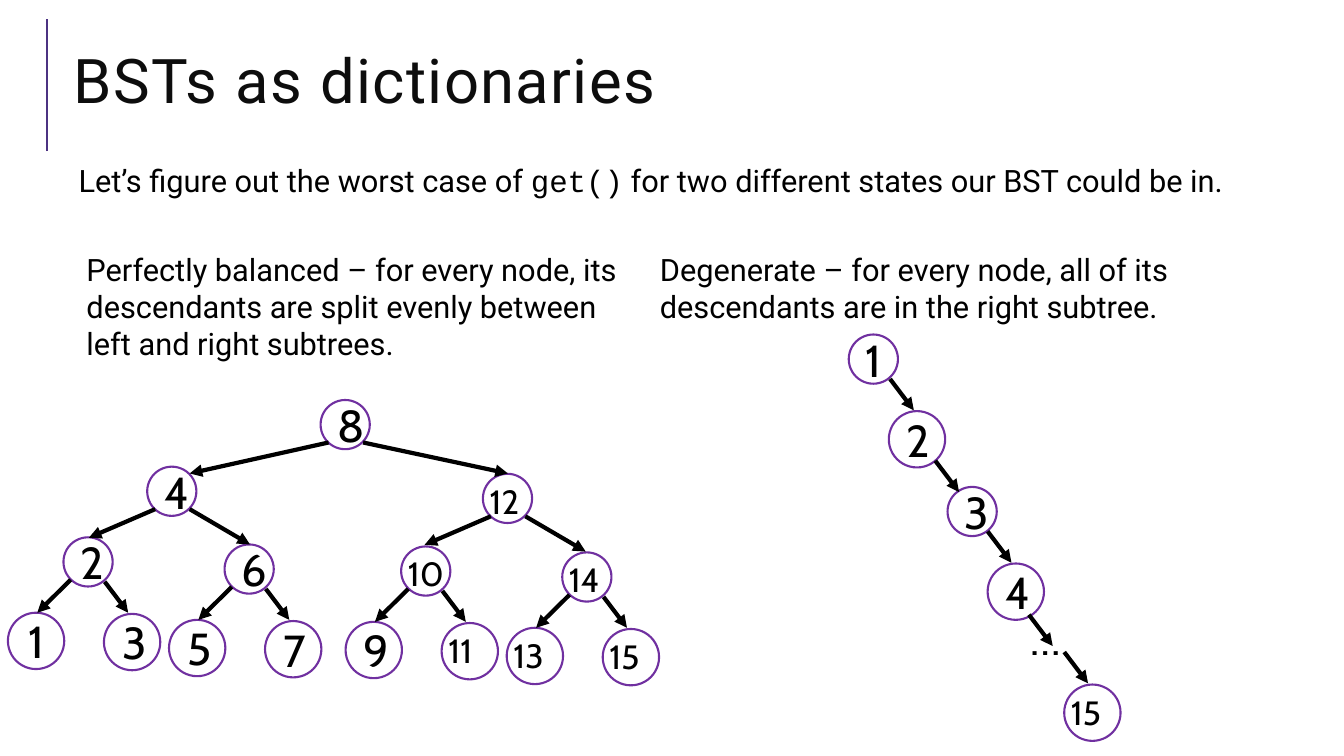
"""Build the slide comparing a balanced and a degenerate binary search tree."""
from dataclasses import dataclass

from lxml import etree
from pptx import Presentation
from pptx.dml.color import RGBColor
from pptx.enum.shapes import MSO_CONNECTOR, MSO_SHAPE
from pptx.enum.text import MSO_ANCHOR, MSO_AUTO_SIZE, PP_ALIGN
from pptx.oxml.ns import qn
from pptx.slide import Slide
from pptx.text.text import TextFrame, _Run
from pptx.util import Cm, Pt

STRAIGHT = MSO_CONNECTOR.STRAIGHT
ELLIPSE = MSO_SHAPE.OVAL
MIDDLE = MSO_ANCHOR.MIDDLE
TOP = MSO_ANCHOR.TOP
CENTER = PP_ALIGN.CENTER
LEFT = PP_ALIGN.LEFT
NO_FIT = MSO_AUTO_SIZE.NONE

COLORS = {
    "paper": "FFFFFF",
    "ink": "000000",
    "title": "0D0D0D",
    "rule": "4C3282",
    "node": "7030A0",
    "bullet": "1CADE4",
}
SMALL, LARGE = 1.24, 1.42


@dataclass(frozen=True)
class Node:
    """A circled key, placed by its top left corner in centimetres."""
    key: str
    left: float
    top: float
    size: float = SMALL


@dataclass(frozen=True)
class Edge:
    """A line between two points in centimetres."""
    x1: float
    y1: float
    x2: float
    y2: float

    def moved(self, node: Node) -> "Edge":
        """Return the edge shifted by the corner of a node."""
        return Edge(self.x1 + node.left, self.y1 + node.top,
                    self.x2 + node.left, self.y2 + node.top)


@dataclass(frozen=True)
class Label:
    """A plain text box in centimetres."""
    text: str
    left: float
    top: float
    width: float
    height: float
    font: str
    size: float


ROOT = Node("8", 8.08, 10.08)
INNER = [Node("4", 3.71, 11.76), Node("12", 12.17, 11.94)]
LEAF_PARENTS = [
    (Node("2", 1.6, 13.54), "1", "3"),
    (Node("6", 5.66, 13.72), "5", "7"),
    (Node("10", 10.11, 13.77), "9", "11"),
    (Node("14", 14.17, 13.92), "13", "15"),
]
ROOT_EDGES = [Edge(0.2, 1.07, -3.3, 1.85), Edge(1.07, 1.07, 4.72, 1.85)]
INNER_EDGES = [Edge(0.2, 1.07, -1.47, 1.79), Edge(1.07, 1.07, 2.59, 1.96)]
LEAF_EDGES = [Edge(0.18, 1.07, -0.66, 1.9), Edge(1.04, 1.12, 1.63, 1.9)]
CHAIN = [
    Node("1", 21.39, 8.43),
    Node("2", 22.4, 10.36, LARGE),
    Node("3", 23.88, 12.27),
    Node("4", 24.89, 14.2, LARGE),
    Node("15", 26.82, 17.25, LARGE),
]
CHAIN_STARTS = [(22.43, 9.55), (23.57, 11.61), (24.89, 13.39), (25.93, 15.49), (26.82, 16.43)]
LABELS = [
    Label("Perfectly balanced – for every node, its descendants are split evenly "
          "between left and right subtrees.", 1.93, 6.2, 13.89, 3.07, "Roboto", 22),
    Label("Degenerate – for every node, all of its descendants are in the right subtree.",
          16.38, 6.2, 15.95, 2.13, "Roboto", 22),
    Label("…", 25.73, 15.27, 3.33, 1.63, "Cabin", 32),
]


def color(name: str) -> RGBColor:
    """Look up a named colour."""
    return RGBColor.from_string(COLORS[name])


def format_run(span: _Run, font: str, size: float, tint: str = "ink") -> None:
    """Set the font, size and colour of a run."""
    span.font.name = font
    span.font.size = Pt(size)
    span.font.color.rgb = color(tint)


def prepare_frame(frame: TextFrame, anchor: MSO_ANCHOR) -> None:
    """Make a text frame wrap at a fixed size."""
    frame.word_wrap = True
    frame.auto_size = NO_FIT
    frame.vertical_anchor = anchor


def draw_label(page: Slide, label: Label) -> None:
    """Draw a text box."""
    box = page.shapes.add_textbox(Cm(label.left), Cm(label.top), Cm(label.width), Cm(label.height))
    prepare_frame(box.text_frame, TOP)
    box.text_frame.text = label.text
    format_run(box.text_frame.paragraphs[0].runs[0], label.font, label.size)


def draw_line(page: Slide, edge: Edge, tint: str, width: float, arrow: bool) -> None:
    """Draw a line, with an arrowhead at its end if wanted."""
    line = page.shapes.add_connector(STRAIGHT, Cm(edge.x1), Cm(edge.y1), Cm(edge.x2), Cm(edge.y2))
    line.line.color.rgb = color(tint)
    line.line.width = Pt(width)
    if arrow:
        etree.SubElement(line.line._get_or_add_ln(), qn("a:tailEnd"), type="triangle")
    etree.SubElement(line._element.spPr, qn("a:effectLst"))


def draw_node(page: Slide, node: Node) -> None:
    """Draw a circle with its key; long keys get a smaller text box."""
    box = page.shapes.add_shape(ELLIPSE, Cm(node.left), Cm(node.top), Cm(node.size), Cm(node.size))
    box.shadow.inherit = False
    box.fill.solid()
    box.fill.fore_color.rgb = color("paper")
    box.line.color.rgb = color("node")
    box.line.width = Pt(1.5)
    if len(node.key) > 1:
        draw_label(page, Label(node.key, node.left - 0.08, node.top + 0.05, 1.45, 2.06, "Cabin", 24))
        return
    prepare_frame(box.text_frame, MIDDLE)
    box.text_frame.text = node.key
    para = box.text_frame.paragraphs[0]
    para.alignment = CENTER
    format_run(para.runs[0], "Cabin", 32)


def draw_tree(page: Slide, nodes: list[Node], edges: list[Edge]) -> None:
    """Draw nodes and then the arrows between them."""
    for node in nodes:
        draw_node(page, node)
    for edge in edges:
        draw_line(page, edge, "ink", 3, True)


def balanced_tree() -> tuple[list[Node], list[Edge]]:
    """Lay out the balanced tree."""
    nodes = [ROOT, *INNER]
    edges = [edge.moved(ROOT) for edge in ROOT_EDGES]
    edges += [edge.moved(node) for node in INNER for edge in INNER_EDGES]
    for parent, low, high in LEAF_PARENTS:
        nodes += [parent,
                  Node(low, parent.left - 1.4, parent.top + 1.9, LARGE),
                  Node(high, parent.left + 1.02, parent.top + 1.93, LARGE)]
        edges += [edge.moved(parent) for edge in LEAF_EDGES]
    return nodes, edges


def fill_placeholders(page: Slide) -> None:
    """Place and format the title and the introduction."""
    title, body = page.shapes.title, page.placeholders[1]
    for box, top, height, anchor in ((title, 0.74, 2.82, MIDDLE), (body, 4.06, 1.52, TOP)):
        box.left, box.top, box.width, box.height = Cm(1.6), Cm(top), Cm(31.06), Cm(height)
        prepare_frame(box.text_frame, anchor)

    title.text_frame.text = "BSTs as dictionaries"
    para = title.text_frame.paragraphs[0]
    para.alignment = LEFT
    para.line_spacing = 0.8
    format_run(para.runs[0], "Roboto", 44, "title")
    para.runs[0]._r.get_or_add_rPr().set("spc", "100")

    frame = body.text_frame
    frame.margin_left = frame.margin_right = frame.margin_top = frame.margin_bottom = Cm(0.13)
    para = frame.paragraphs[0]
    para.line_spacing, para.space_before, para.space_after = 0.9, Pt(12), Pt(2)
    for text, font in (("Let’s figure out the worst case of ", "Roboto"), ("get()", "Courier New"),
                       (" for two different states our BST could be in.", "Roboto")):
        span = para.add_run()
        span.text = text
        format_run(span, font, 22)
    settings = para._p.get_or_add_pPr()
    settings.set("marL", str(Cm(0.25)))
    settings.set("indent", str(-Cm(0.25)))
    tint = etree.SubElement(settings, qn("a:buClr"))
    etree.SubElement(tint, qn("a:srgbClr"), val=COLORS["bullet"])
    etree.SubElement(settings, qn("a:buChar"), char=" ")


def main() -> None:
    """Build and save the deck."""
    deck = Presentation()
    deck.slide_width, deck.slide_height = Cm(33.87), Cm(19.05)
    page = deck.slides.add_slide(deck.slide_layouts[1])
    fill_placeholders(page)
    draw_line(page, Edge(1.19, 3.81, 1.19, 0.48), "rule", 1.5, False)
    draw_tree(page, *balanced_tree())
    draw_tree(page, CHAIN, [Edge(x, y, x + 0.6, y + 0.79) for x, y in CHAIN_STARTS])
    for label in LABELS:
        draw_label(page, label)
    deck.save("out.pptx")


if __name__ == "__main__":
    main()
